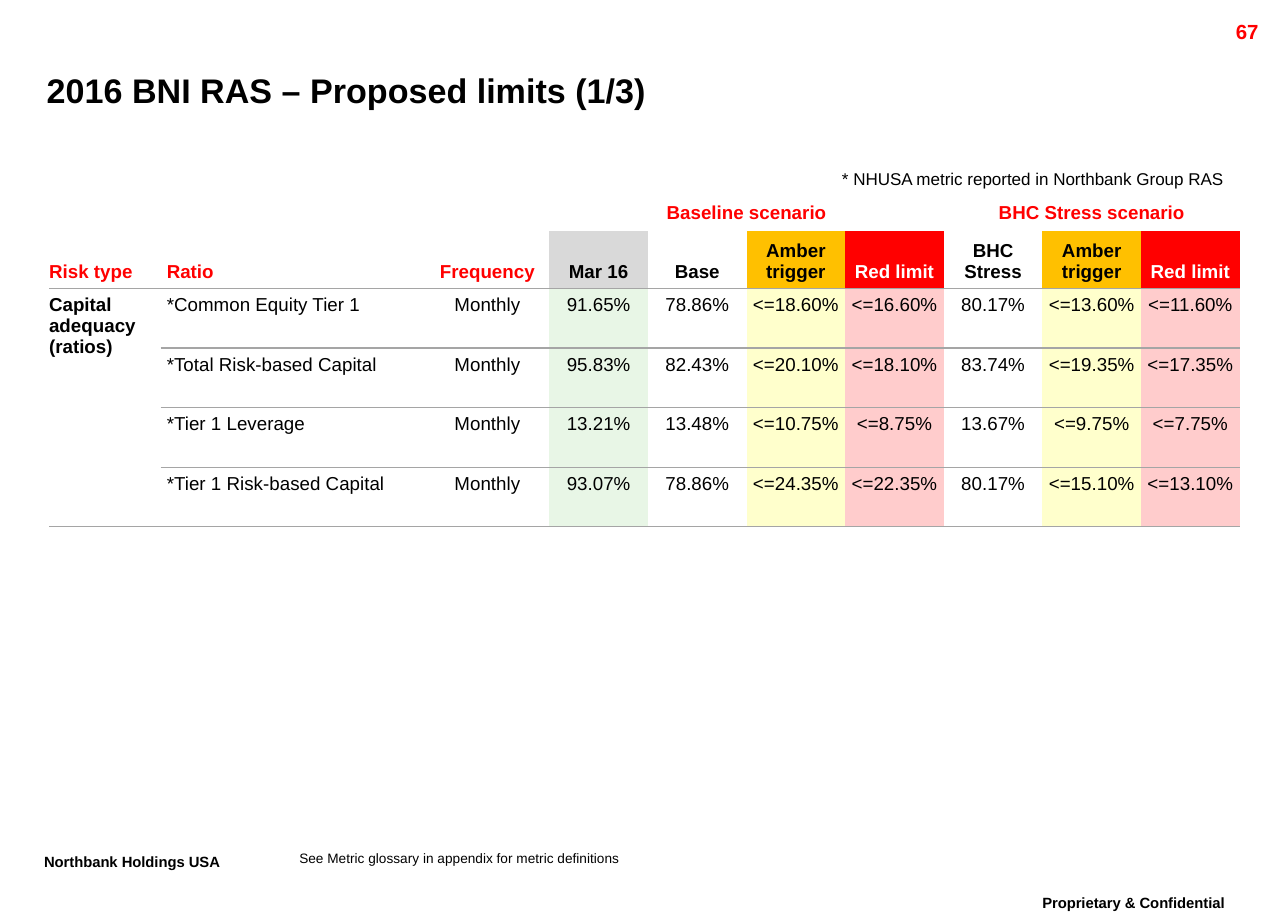
from lxml import etree
from pptx import Presentation, util as u
from pptx.dml.color import RGBColor
from pptx.enum import text
from pptx.oxml import ns

BLACK = RGBColor(0, 0, 0)
WHITE = RGBColor(255, 255, 255)
RED = RGBColor(255, 0, 0)
AMBER = RGBColor(0xFF, 0xC0, 0x00)
GREY = RGBColor(0xD9, 0xD9, 0xD9)
RULE = RGBColor(0xA5, 0xA5, 0xA5)
PALE_GREEN = RGBColor(0xE8, 0xF6, 0xE6)
PALE_YELLOW = RGBColor(0xFF, 0xFF, 0xCC)
PALE_RED = RGBColor(0xFF, 0xCC, 0xCC)

LEFT, CENTER, RIGHT = text.PP_ALIGN.LEFT, text.PP_ALIGN.CENTER, text.PP_ALIGN.RIGHT
TOP, MIDDLE, BOTTOM = (text.MSO_ANCHOR.TOP, text.MSO_ANCHOR.MIDDLE,
                       text.MSO_ANCHOR.BOTTOM)

# Table content
COLUMN_WIDTHS = [65.5, 155.5, 72.7] + [57.9] * 7
ROW_HEIGHTS = [20.3, 33.6] + [35] * 4
SCENARIOS = {3: ("Baseline scenario", 6), 7: ("BHC Stress scenario", 9)}
HEADERS = ["Risk type", "Ratio", "Frequency", "Mar 16", "Base", "Amber trigger",
           "Red limit", "BHC Stress", "Amber trigger", "Red limit"]
HEADER_FILLS = [None] * 3 + [GREY] + [WHITE, AMBER, RED] * 2
HEADER_COLORS = [RED] * 3 + [BLACK] + [BLACK, BLACK, WHITE] * 2
BODY_FILLS = [None] * 3 + [PALE_GREEN] + [WHITE, PALE_YELLOW, PALE_RED] * 2
METRICS = [
    ["*Common Equity Tier 1", "Monthly", "91.65%", "78.86%", "<=18.60%",
     "<=16.60%", "80.17%", "<=13.60%", "<=11.60%"],
    ["*Total Risk-based Capital", "Monthly", "95.83%", "82.43%", "<=20.10%",
     "<=18.10%", "83.74%", "<=19.35%", "<=17.35%"],
    ["*Tier 1 Leverage", "Monthly", "13.21%", "13.48%", "<=10.75%",
     "<=8.75%", "13.67%", "<=9.75%", "<=7.75%"],
    ["*Tier 1 Risk-based Capital", "Monthly", "93.07%", "78.86%", "<=24.35%",
     "<=22.35%", "80.17%", "<=15.10%", "<=13.10%"],
]


class SlideBuilder:
    """Holds the text style and the current slide."""

    def __init__(self, page):
        self.page = page
        self.style = {"name": "Arial", "size": u.Pt(11), "bold": False}

    def add_words(self, frame, words, align=LEFT, color=BLACK, spacing=1.0,
                  raised=False, **changes):
        para = frame.paragraphs[0]
        para.alignment = align
        para.line_spacing = spacing
        span = para.add_run()
        span.text = words
        for name, value in {**self.style, **changes}.items():
            setattr(span.font, name, value)
        span.font.color.rgb = color
        if raised:
            span.font._element.set("baseline", "30000")

    def box(self, words, left, top, width, height, anchor=TOP, **look):
        box = self.page.shapes.add_textbox(*map(u.Pt, (left, top, width, height)))
        frame = box.text_frame
        layout = {"word_wrap": True, "vertical_anchor": anchor, "margin_left": 0,
                  "margin_right": 0, "margin_top": 0, "margin_bottom": 0}
        for name, value in layout.items():
            setattr(frame, name, value)
        self.add_words(frame, words, **look)

    def table(self, left, top, widths, heights):
        table = self.page.shapes.add_table(
            len(heights), len(widths),
            *map(u.Pt, (left, top, sum(widths), sum(heights)))).table
        table.first_row = table.horz_banding = False
        for column, width in zip(table.columns, widths):
            column.width = u.Pt(width)
        for row, height in zip(table.rows, heights):
            row.height = u.Pt(height)
        return table

    def cell(self, cell, words, fill=None, anchor=TOP, rules="", inset=3.6, **look):
        layout = {"margin_left": u.Pt(inset), "margin_right": u.Pt(3.6),
                  "margin_top": u.Pt(3.6), "margin_bottom": u.Pt(3.6),
                  "vertical_anchor": anchor}
        for name, value in layout.items():
            setattr(cell, name, value)
        if words:
            self.add_words(cell.text_frame, words, **look)
        else:
            end = cell.text_frame.paragraphs[0]._p.get_or_add_endParaRPr()
            end.set("sz", "1100")
        self.borders(cell, rules)
        if fill is None:
            cell.fill.background()
        else:
            cell.fill.solid()
            cell.fill.fore_color.rgb = fill

    def borders(self, cell, rules):
        properties = cell._tc.get_or_add_tcPr()
        for side in "LRTB":
            line = etree.SubElement(properties, ns.qn("a:ln" + side))
            if side in rules:
                line.set("w", str(u.Pt(0.75)))
                solid = etree.SubElement(line, ns.qn("a:solidFill"))
                etree.SubElement(solid, ns.qn("a:srgbClr"), val=str(RULE))
            else:
                etree.SubElement(line, ns.qn("a:noFill"))


def main():
    deck = Presentation()
    deck.slide_width, deck.slide_height = u.Pt(756), u.Pt(540)
    builder = SlideBuilder(deck.slides.add_slide(deck.slide_layouts[6]))

    # Title, page number and notes
    builder.box("2016 BNI RAS – Proposed limits (1/3)", 27.4, 35.3, 682.6, 34.6,
                anchor=MIDDLE, size=u.Pt(20), bold=True)
    builder.box("67", 681, 11.5, 57.7, 14, align=RIGHT, color=RED,
                size=u.Pt(12), bold=True)
    builder.box("* NHUSA metric reported in Northbank Group RAS", 486, 100.8, 240, 12,
                align=CENTER, spacing=0.86, size=u.Pt(10))
    builder.box("See Metric glossary in appendix for metric definitions",
                175.7, 499, 393.8, 9.4, size=u.Pt(8))

    # Footer
    footer = {"size": u.Pt(15), "bold": True, "spacing": 0.86, "raised": True}
    builder.box("Northbank Holdings USA", 25.9, 501.1, 130, 16, **footer)
    builder.box("Proprietary & Confidential", 594, 525.6, 142.6, 16,
                align=CENTER, **footer)

    # Scenario row
    table = builder.table(28.8, 115.2, COLUMN_WIDTHS, ROW_HEIGHTS)
    for column in range(len(HEADERS)):
        words, last = SCENARIOS.get(column, ("", column))
        builder.cell(table.cell(0, column), words, WHITE if column > 2 else None,
                     align=CENTER, color=RED, bold=True)
        if words:
            table.cell(0, column).merge(table.cell(0, last))

    # Header row
    for column, words in enumerate(HEADERS):
        builder.cell(table.cell(1, column), words, HEADER_FILLS[column], BOTTOM, "B",
                     inset=3.6 if column else 0, color=HEADER_COLORS[column],
                     align=CENTER if column > 1 else LEFT, bold=True)

    # Metric rows
    last_row = len(ROW_HEIGHTS) - 1
    for row, metric in enumerate(METRICS, 2):
        risk_type = "Capital adequacy (ratios)" if row == 2 else ""
        risk_rules = {2: "TB", last_row: "B"}.get(row, "")
        builder.cell(table.cell(row, 0), risk_type, rules=risk_rules, inset=0, bold=True)
        for column, words in enumerate(metric, 1):
            builder.cell(table.cell(row, column), words, BODY_FILLS[column],
                         rules="TB", align=CENTER if column > 1 else LEFT)
    table.cell(2, 0).merge(table.cell(last_row, 0))

    deck.save("out.pptx")


if __name__ == "__main__":
    main()
